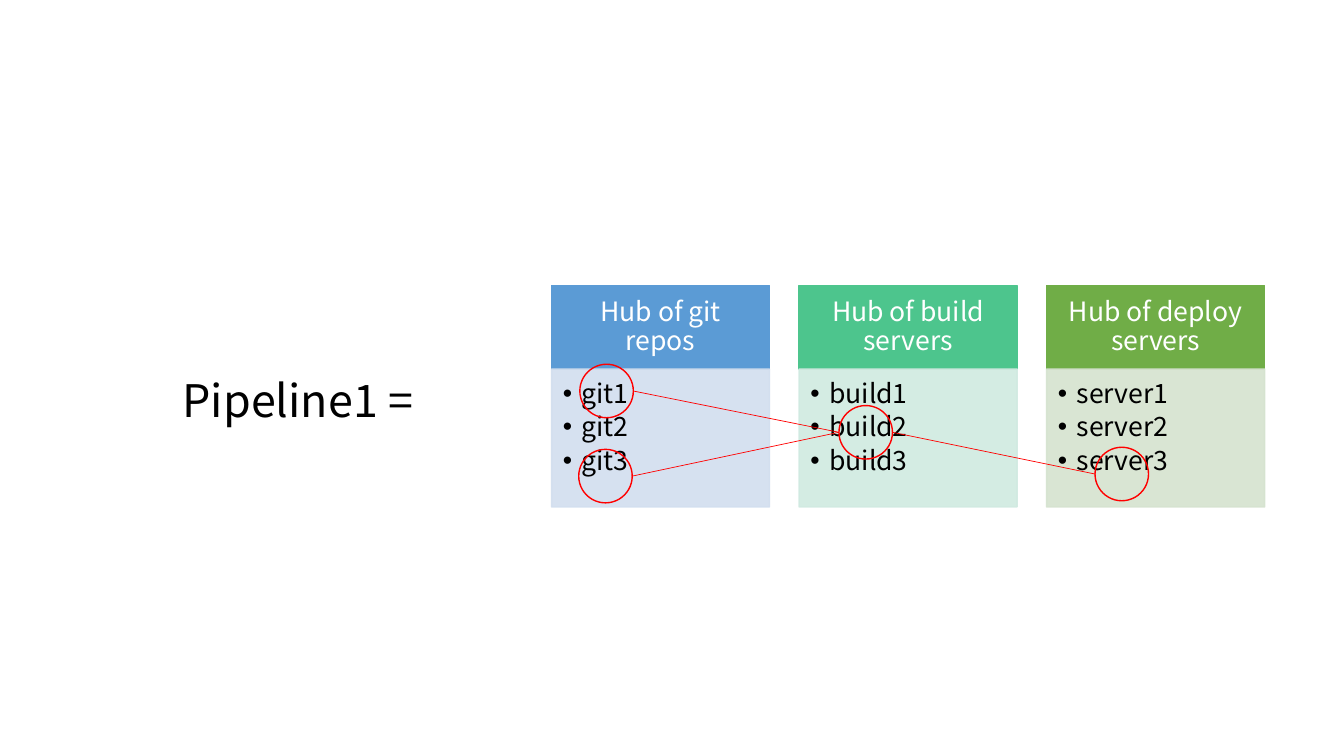
from dataclasses import dataclass

from lxml import etree
from pptx import Presentation
from pptx.dml.color import RGBColor
from pptx.enum import shapes, text
from pptx.oxml import ns
from pptx.util import Pt


@dataclass(frozen=True)
class Theme:
    """Colours, type sizes and line weights of the slide."""
    font: str = "Noto Sans CJK SC"
    dark: str = "000000"
    light: str = "FFFFFF"
    accent: str = "FF0000"
    label_size: float = 32
    hub_size: float = 19
    outline: float = 1
    link: float = 0.5


def add_child(parent, tag, **attributes):
    """Append a DrawingML element to a parent."""
    return etree.SubElement(parent, ns.qn(tag), attributes)


def write_text(frame, lines, size, color, font, align=text.PP_ALIGN.LEFT,
               anchor=text.MSO_ANCHOR.TOP, insets=(7.2, 3.6, 7.2, 3.6),
               line_spacing=1.0, space_after=0, bullet_indent=0):
    """Fill a text frame with one formatted paragraph per line."""
    frame.word_wrap = True
    frame.vertical_anchor = anchor
    (frame.margin_left, frame.margin_top,
     frame.margin_right, frame.margin_bottom) = map(Pt, insets)
    for index, line in enumerate(lines):
        paragraph = frame.add_paragraph() if index else frame.paragraphs[0]
        paragraph.alignment = align
        paragraph.line_spacing = line_spacing
        paragraph.space_after = Pt(space_after)
        run = paragraph.add_run()
        run.text = line
        run.font.name = font
        run.font.size = Pt(size)
        run.font.color.rgb = RGBColor.from_string(color)
        if bullet_indent:
            properties = paragraph._p.get_or_add_pPr()
            properties.set("marL", str(Pt(bullet_indent)))
            properties.set("indent", str(-Pt(bullet_indent)))
            add_child(properties, "a:buFont", typeface="Arial")
            add_child(properties, "a:buChar", char="•")


class SlideBuilder:
    """Draws themed elements on the current slide."""

    def __init__(self, slide, theme):
        """Keep the slide and its theme."""
        self.slide = slide
        self.theme = theme

    def label(self, line, left, top, width, height):
        """Add a free-standing text label."""
        box = self.slide.shapes.add_textbox(*map(Pt, (left, top, width, height)))
        write_text(box.text_frame, [line], self.theme.label_size,
                   self.theme.dark, self.theme.font)

    def shape(self, kind, left, top, width, height, line, fill=None, opacity=100):
        """Add a preset shape with an outline and an optional fill."""
        shape = self.slide.shapes.add_shape(kind, *map(Pt, (left, top, width, height)))
        shape.shadow.inherit = False
        shape.line.width = Pt(self.theme.outline)
        shape.line.color.rgb = RGBColor.from_string(line)
        if fill:
            shape.fill.solid()
            shape.fill.fore_color.rgb = RGBColor.from_string(fill)
        else:
            shape.fill.background()
        if opacity < 100:
            for color in shape._element.spPr.iter(ns.qn("a:srgbClr")):
                add_child(color, "a:alpha", val=str(opacity * 1000))
        return shape

    def hub(self, title, items, left, head_color, body_color):
        """Add a headed column with a bulleted list."""
        rectangle = shapes.MSO_SHAPE.RECTANGLE
        head = self.shape(rectangle, left, HUB_TOP, HUB_WIDTH, HEAD_HEIGHT,
                          head_color, head_color)
        write_text(head.text_frame, [title], self.theme.hub_size, self.theme.light,
                   self.theme.font, align=text.PP_ALIGN.CENTER,
                   anchor=text.MSO_ANCHOR.MIDDLE, insets=(10.8, 5.8, 10.8, 5.8),
                   line_spacing=0.9)
        body = self.shape(rectangle, left, HUB_TOP + HEAD_HEIGHT, HUB_WIDTH,
                          BODY_HEIGHT, body_color, body_color, opacity=90)
        write_text(body.text_frame, items, self.theme.hub_size, self.theme.dark,
                   self.theme.font, insets=(8, 8, 10.8, 12), line_spacing=0.9,
                   space_after=3.4, bullet_indent=13.5)

    def ring(self, left, top):
        """Circle a chosen list item."""
        return self.shape(shapes.MSO_SHAPE.OVAL, left, top, RING_SIZE, RING_SIZE,
                          self.theme.accent)

    def link(self, start, end):
        """Join the right side of one ring to the left side of another."""
        connector = self.slide.shapes.add_connector(
            shapes.MSO_CONNECTOR.STRAIGHT,
            start.left + start.width, start.top + start.height // 2,
            end.left, end.top + end.height // 2)
        connector.line.width = Pt(self.theme.link)
        connector.line.color.rgb = RGBColor.from_string(self.theme.accent)
        add_child(connector._element.spPr, "a:effectLst")


HUB_LEFT, HUB_TOP, HUB_WIDTH, HUB_PITCH = 394, 203.8, 155.7, 176.8
HEAD_HEIGHT, BODY_HEIGHT = 59.8, 98.6
RING_SIZE = 38.2
HUBS = [
    ("Hub of git repos", "git", "5B9BD5", "D2DEEF"),
    ("Hub of build servers", "build", "4DC58D", "D0EAE1"),
    ("Hub of deploy servers", "server", "70AD47", "D5E3CF"),
]
RINGS = {
    "git1": (414.2, 260.2),
    "git3": (413.4, 321),
    "build2": (599.3, 289.7),
    "server3": (782.2, 319.5),
}
LINKS = [("git3", "build2"), ("build2", "server3"), ("git1", "build2")]


def main():
    """Build the pipeline slide and save it."""
    presentation = Presentation()
    presentation.slide_width, presentation.slide_height = Pt(960), Pt(540)
    slide = presentation.slides.add_slide(presentation.slide_layouts[6])
    builder = SlideBuilder(slide, Theme())

    builder.label("Pipeline1 =", 123.4, 262.6, 312.5, 46)
    for column, (title, item, head_color, body_color) in enumerate(HUBS):
        items = [f"{item}{number}" for number in range(1, 4)]
        builder.hub(title, items, HUB_LEFT + column * HUB_PITCH,
                    head_color, body_color)
    rings = {item: builder.ring(*corner) for item, corner in RINGS.items()}
    for start, end in LINKS:
        builder.link(rings[start], rings[end])

    presentation.save("out.pptx")


main()
